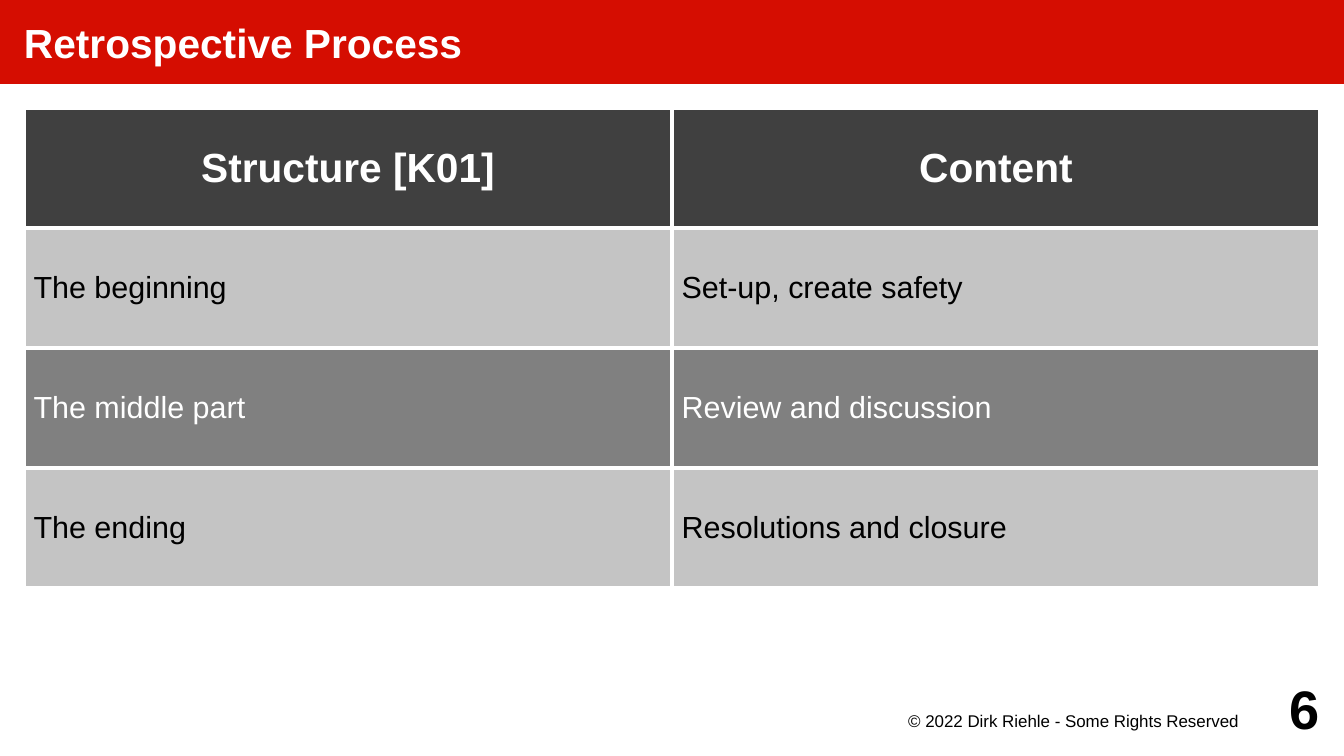
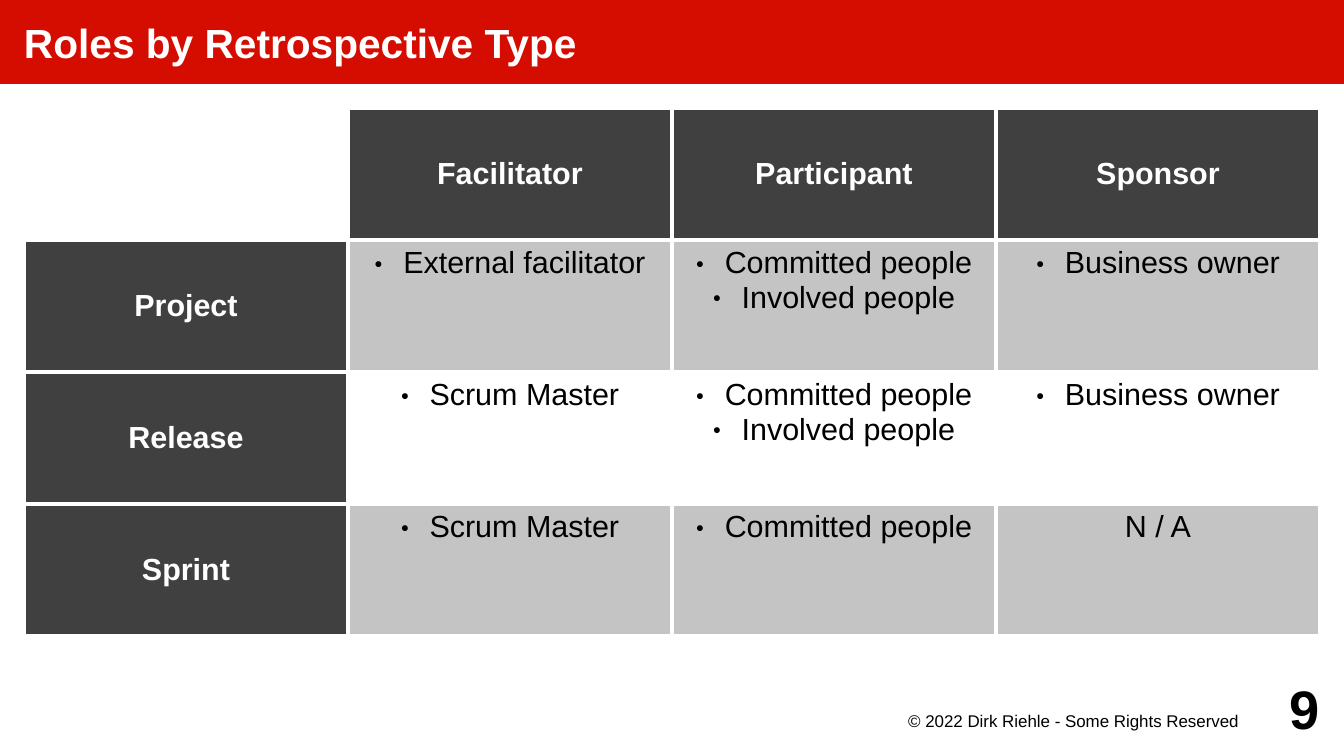
"""Build two slides on retrospectives, each with a title band and a table."""
from dataclasses import dataclass

from lxml.etree import SubElement
from pptx import Presentation
from pptx.dml.color import RGBColor
from pptx.enum.text import MSO_ANCHOR, MSO_AUTO_SIZE, PP_ALIGN
from pptx.oxml.ns import qn
from pptx.util import Cm, Pt

NOTICE = "© 2022 Dirk Riehle - Some Rights Reserved"

PROCESS = {
    "title": "Retrospective Process",
    "page": "6",
    "height": 2.5,
    "rows": [
        ["Structure [K01]", "Content"],
        ["The beginning", "Set-up, create safety"],
        ["The middle part", "Review and discussion"],
        ["The ending", "Resolutions and closure"],
    ],
}
ROLES = {
    "title": "Roles by Retrospective Type",
    "page": "9",
    "height": 2.75,
    "rows": [
        ["", "Facilitator", "Participant", "Sponsor"],
        ["Project", ["External facilitator"],
         ["Committed people", "Involved people"], ["Business owner"]],
        ["Release", ["Scrum Master"],
         ["Committed people", "Involved people"], ["Business owner"]],
        ["Sprint", ["Scrum Master"], ["Committed people"], "N / A"],
    ],
}


@dataclass(frozen=True)
class Theme:
    """Colours, font, type sizes and page measures in centimetres."""
    red: str = "D50D01"
    dark: str = "404040"
    mid: str = "808080"
    light: str = "C4C4C4"
    white: str = "FFFFFF"
    black: str = "000000"
    font: str = "Arial"
    head: int = 24
    body: int = 18
    note: int = 10
    page: int = 32
    rule: float = 2.27
    wide: float = 28
    high: float = 15.75
    band: float = 1.75
    edge: float = 0.5


T = Theme()


def paint(fill, color):
    """Make a fill solid in one colour."""
    fill.solid()
    fill.fore_color.rgb = RGBColor.from_string(color)


def mark(para):
    """Give a paragraph a small round bullet."""
    props = para._p.get_or_add_pPr()
    props.set("marL", str(Cm(0.6)))
    props.set("indent", str(-Cm(0.6)))
    tint = SubElement(props, qn("a:buClr"))
    SubElement(tint, qn("a:srgbClr"), val=T.black)
    SubElement(props, qn("a:buSzPct"), val="45000")
    SubElement(props, qn("a:buFont"), typeface=T.font)
    SubElement(props, qn("a:buChar"), char="●")


def write(box, text, size=T.body, color=T.black, bold=False,
          align=PP_ALIGN.LEFT, anchor=MSO_ANCHOR.MIDDLE, pad=(0, 0, 0, 0)):
    """Write text, or a list as bullets, into a text frame or table cell."""
    box.margin_left, box.margin_top, box.margin_right, box.margin_bottom = map(Cm, pad)
    box.vertical_anchor = anchor
    frame = getattr(box, "text_frame", box)
    listed = isinstance(text, list)
    for num, line in enumerate(text if listed else [text]):
        para = frame.add_paragraph() if num else frame.paragraphs[0]
        para.alignment = align
        if listed:
            mark(para)
        run = para.add_run()
        run.text = line
        run.font.name = T.font
        run.font.size = Pt(size)
        run.font.bold = bold
        run.font.color.rgb = RGBColor.from_string(color)


def label(slide, text, place, **form):
    """Add a text box at a place given in centimetres."""
    frame = slide.shapes.add_textbox(*map(Cm, place)).text_frame
    frame.word_wrap = True
    write(frame, text, align=PP_ALIGN.RIGHT, **form)


def start(deck, data):
    """Add a slide with the shared title band and footer."""
    slide = deck.slides.add_slide(deck.slide_layouts[5])
    title = slide.shapes.title
    title.left, title.top, title.width, title.height = map(Cm, (0, 0, T.wide, T.band))
    paint(title.fill, T.red)
    title.text_frame.auto_size = MSO_AUTO_SIZE.NONE
    write(title.text_frame, data["title"], size=T.head, color=T.white,
          bold=True, pad=(T.edge, 0, 0, 0))
    label(slide, NOTICE, (18, 14.75, 8, 0.75), size=T.note,
          anchor=MSO_ANCHOR.TOP, pad=(0, 0.05, 0.2, 0))
    label(slide, data["page"], (25.5, 14, 2, 1.5), size=T.page, bold=True)
    return slide


def border(cell):
    """Draw white rules on all sides of a cell."""
    props = cell._tc.get_or_add_tcPr()
    for side in "LRTB":
        line = SubElement(props, qn(f"a:ln{side}"), w=str(Pt(T.rule)))
        fill = SubElement(line, qn("a:solidFill"))
        SubElement(fill, qn("a:srgbClr"), val=T.white)


def grid(slide, data, style):
    """Add the table, asking style for the fill and format of each cell."""
    rows = data["rows"]
    count = len(rows[0])
    wide = T.wide - 2 * T.edge
    table = slide.shapes.add_table(
        len(rows), count, Cm(T.edge), Cm(T.band + T.edge),
        Cm(wide), Cm(data["height"] * len(rows))).table
    table.first_row = table.horz_banding = False
    for col in table.columns:
        col.width = Cm(wide / count)
    for r, row in enumerate(rows):
        table.rows[r].height = Cm(data["height"])
        for c, text in enumerate(row):
            cell = table.cell(r, c)
            fill, form = style(r, c)
            border(cell)
            paint(cell.fill, fill if text else T.white)
            if text:
                write(cell, text, pad=(0.2, 0.13, 0.2, 0.13), **form)


def steps(r, c):
    """Style a cell of the process table."""
    if r == 0:
        return T.dark, dict(size=T.head, color=T.white, bold=True, align=PP_ALIGN.CENTER)
    if r % 2:
        return T.light, {}
    return T.mid, dict(color=T.white)


def roles(r, c):
    """Style a cell of the roles table."""
    if r == 0 or c == 0:
        return T.dark, dict(color=T.white, bold=True, align=PP_ALIGN.CENTER)
    form = dict(align=PP_ALIGN.CENTER, anchor=MSO_ANCHOR.TOP)
    return (T.light if r % 2 else T.white), form


def main():
    """Build and save the deck."""
    deck = Presentation()
    deck.slide_width, deck.slide_height = Cm(T.wide), Cm(T.high)
    for data, style in ((PROCESS, steps), (ROLES, roles)):
        grid(start(deck, data), data, style)
    deck.save("out.pptx")


if __name__ == "__main__":
    main()
